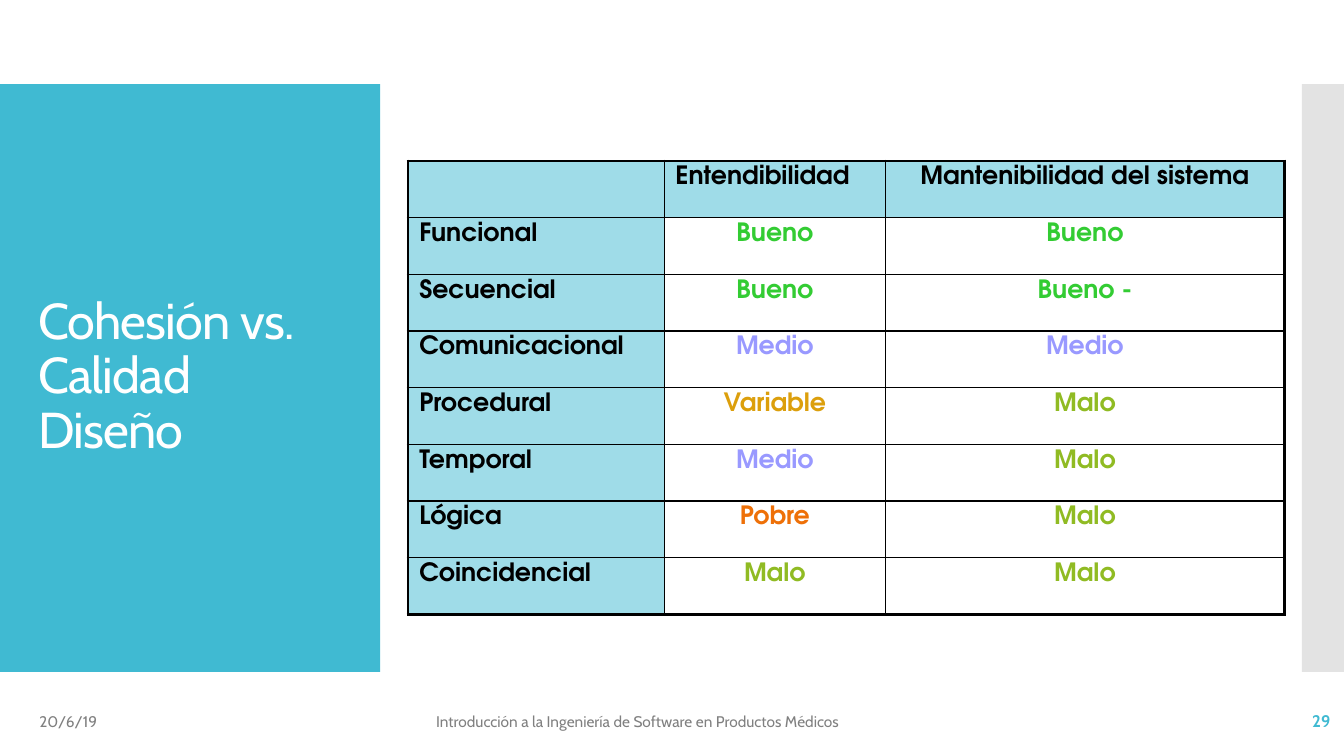
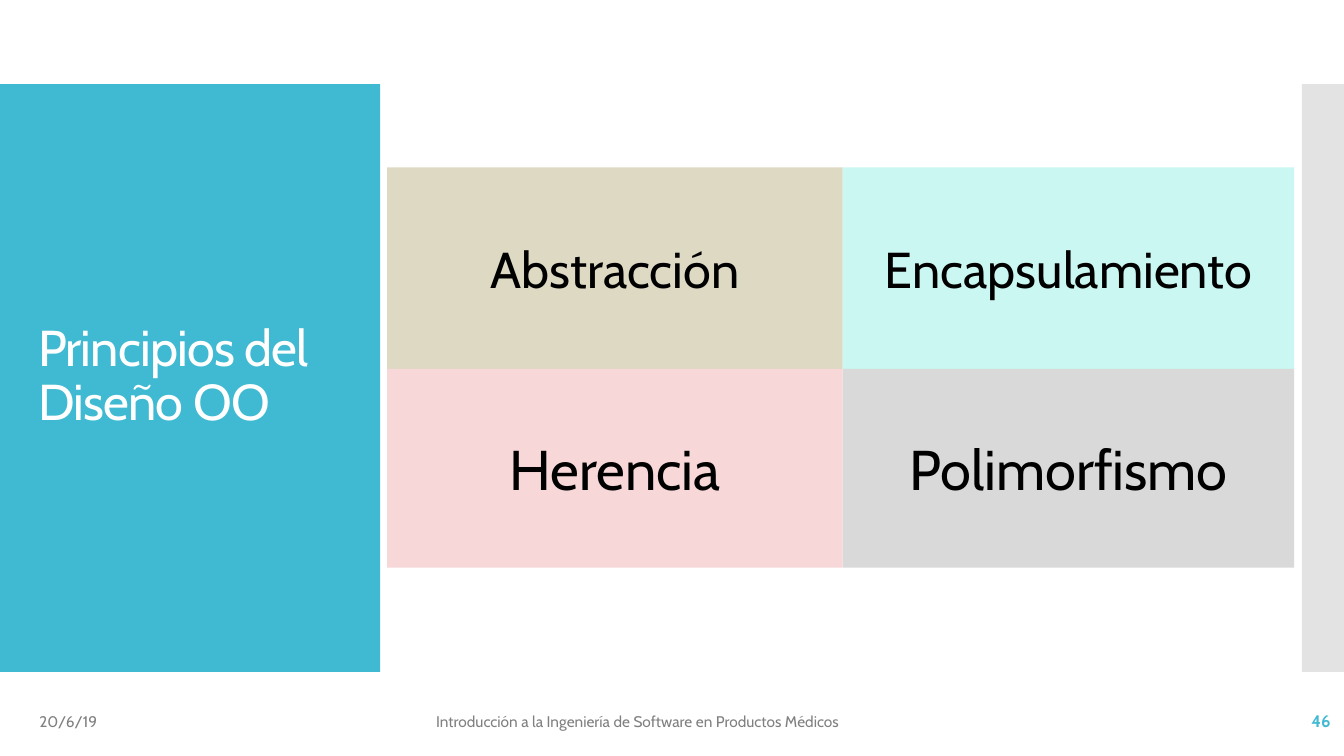
from pptx import Presentation
from pptx.dml.color import RGBColor
from pptx.enum.shapes import MSO_SHAPE
from pptx.enum.text import MSO_ANCHOR, MSO_AUTO_SIZE, PP_ALIGN
from pptx.oxml import parse_xml
from pptx.oxml.ns import nsdecls, qn
from pptx.util import Pt

COLORS = {
    "accent": "40BAD2", "side": "C8C8C8", "footer": "808080",
    "white": "FFFFFF", "black": "000000",
    "sand": "DDD9C3", "mint": "CAF7F1", "rose": "F7D7D8", "gray": "D9D9D9",
}
RATING_COLORS = {
    "Bueno": "33CC33", "Bueno -": "33CC33", "Medio": "9999FF",
    "Variable": "DC9F0C", "Pobre": "EE7008", "Malo": "90BB23",
}
BODY_FONT, TABLE_FONT = "Cabin", "TeX Gyre Adventor"
LEFT, CENTER, RIGHT = PP_ALIGN.LEFT, PP_ALIGN.CENTER, PP_ALIGN.RIGHT


def write(text_frame, text, size, color, align=LEFT, bold=False, font=BODY_FONT):
    text_frame.word_wrap = True
    text_frame.vertical_anchor = MSO_ANCHOR.MIDDLE
    paragraph = text_frame.paragraphs[0]
    paragraph.alignment = align
    run = paragraph.add_run()
    run.text = text
    run.font.name, run.font.size, run.font.bold = font, Pt(size), bold
    run.font.color.rgb = RGBColor.from_string(color)
    return paragraph


def paint(target, color, half_transparent=False):
    target.fill.solid()
    target.fill.fore_color.rgb = RGBColor.from_string(color)
    if half_transparent:
        # A table cell only exposes its element privately
        element = getattr(target, "element", None)
        if element is None:
            element = target._tc
        element.find(".//" + qn("a:srgbClr")).append(
            parse_xml(f'<a:alpha {nsdecls("a")} val="50000"/>'))


presentation = Presentation()
presentation.slide_width, presentation.slide_height = Pt(960), Pt(540)
layout = presentation.slide_layouts[5]

# Slides with title and footer line
slides = []
for title, number in (("Cohesión vs. Calidad Diseño", "29"),
                      ("Principios del Diseño OO", "46")):
    slide = presentation.slides.add_slide(layout)
    slides.append(slide)

    shape = slide.shapes.title
    shape.left, shape.top, shape.width, shape.height = Pt(20), Pt(88.5), Pt(232), Pt(362)
    shape.text_frame.auto_size = MSO_AUTO_SIZE.NONE
    paragraph = write(shape.text_frame, title, 36, COLORS["white"])
    paragraph.line_spacing = 0.9
    paragraph.runs[0].font._element.set("spc", "-60")

    for left, width, text, size, color, align, bold in (
        (21, 216, "20/6/19", 11, "footer", LEFT, False),
        (304.5, 465, "Introducción a la Ingeniería de Software en Productos Médicos",
         11, "footer", LEFT, False),
        (837.5, 120, number, 12, "accent", RIGHT, True),
    ):
        box = slide.shapes.add_textbox(Pt(left), Pt(500.5), Pt(width), Pt(29))
        write(box.text_frame, text, size, COLORS[color], align, bold)

table_slide, tile_slide = slides

# Side bands, moved into the shared layout
for left, width, color, half_transparent in ((0, 271.5, "accent", False),
                                             (930, 30, "side", True)):
    band = table_slide.shapes.add_shape(
        MSO_SHAPE.RECTANGLE, Pt(left), Pt(60), Pt(width), Pt(420))
    band.shadow.inherit = False
    paint(band, COLORS[color], half_transparent)
    band.line.fill.background()
    layout.shapes.element.insert(2, band.element)

# Cohesion table
rows = (
    ("", "Entendibilidad", "Mantenibilidad del sistema"),
    ("Funcional", "Bueno", "Bueno"),
    ("Secuencial", "Bueno", "Bueno -"),
    ("Comunicacional", "Medio", "Medio"),
    ("Procedural", "Variable", "Malo"),
    ("Temporal", "Medio", "Malo"),
    ("Lógica", "Pobre", "Malo"),
    ("Coincidencial", "Malo", "Malo"),
)
column_widths = (183, 158, 285)
row_height = 40.5
table = table_slide.shapes.add_table(
    len(rows), len(column_widths), Pt(291.5), Pt(115),
    Pt(sum(column_widths)), Pt(row_height * len(rows))).table
table.first_row = table.horz_banding = False
for column, width in zip(table.columns, column_widths):
    column.width = Pt(width)

last_row, last_column = len(rows) - 1, len(column_widths) - 1
for row_index, row in enumerate(rows):
    table.rows[row_index].height = Pt(row_height)
    for column_index, text in enumerate(row):
        cell = table.cell(row_index, column_index)
        cell.margin_left = cell.margin_right = Pt(8)
        cell.margin_top = cell.margin_bottom = Pt(3.6)

        if row_index == 0 or column_index == 0:
            paint(cell, COLORS["accent"], half_transparent=True)
        else:
            cell.fill.background()

        if text:
            centered = column_index == 2 or (column_index == 1 and row_index > 0)
            paragraph = write(
                cell.text_frame, text, 18, RATING_COLORS.get(text, COLORS["black"]),
                CENTER if centered else LEFT, True, TABLE_FONT)
            paragraph._p.get_or_add_pPr().append(parse_xml(
                f'<a:spcBef {nsdecls("a")}><a:spcPct val="20000"/></a:spcBef>'))
        cell.vertical_anchor = MSO_ANCHOR.TOP

        # Thick outer borders, thin inner ones
        edges = (("lnL", column_index == 0), ("lnR", column_index == last_column),
                 ("lnT", row_index == 0), ("lnB", row_index == last_row))
        for position, (tag, outer) in enumerate(edges):
            cell._tc.get_or_add_tcPr().insert(position, parse_xml(
                f'<a:{tag} {nsdecls("a")} w="{Pt(2.25 if outer else 1)}"><a:solidFill>'
                f'<a:srgbClr val="{COLORS["black"]}"/></a:solidFill></a:{tag}>'))

# Four principles in a two by two grid
tiles = (
    (("Abstracción", "sand"), ("Encapsulamiento", "mint")),
    (("Herencia", "rose"), ("Polimorfismo", "gray")),
)
tile_widths = (325.5, 322.5)
top = 119.5
for tile_row, height, size in zip(tiles, (144, 142), (36, 40)):
    left = 276.5
    for (text, color), width in zip(tile_row, tile_widths):
        tile = tile_slide.shapes.add_shape(
            MSO_SHAPE.RECTANGLE, Pt(left), Pt(top), Pt(width), Pt(height))
        tile.shadow.inherit = False
        paint(tile, COLORS[color])
        tile.line.fill.background()
        write(tile.text_frame, text, size, COLORS["black"], CENTER)
        left += width
    top += height

presentation.save("out.pptx")
